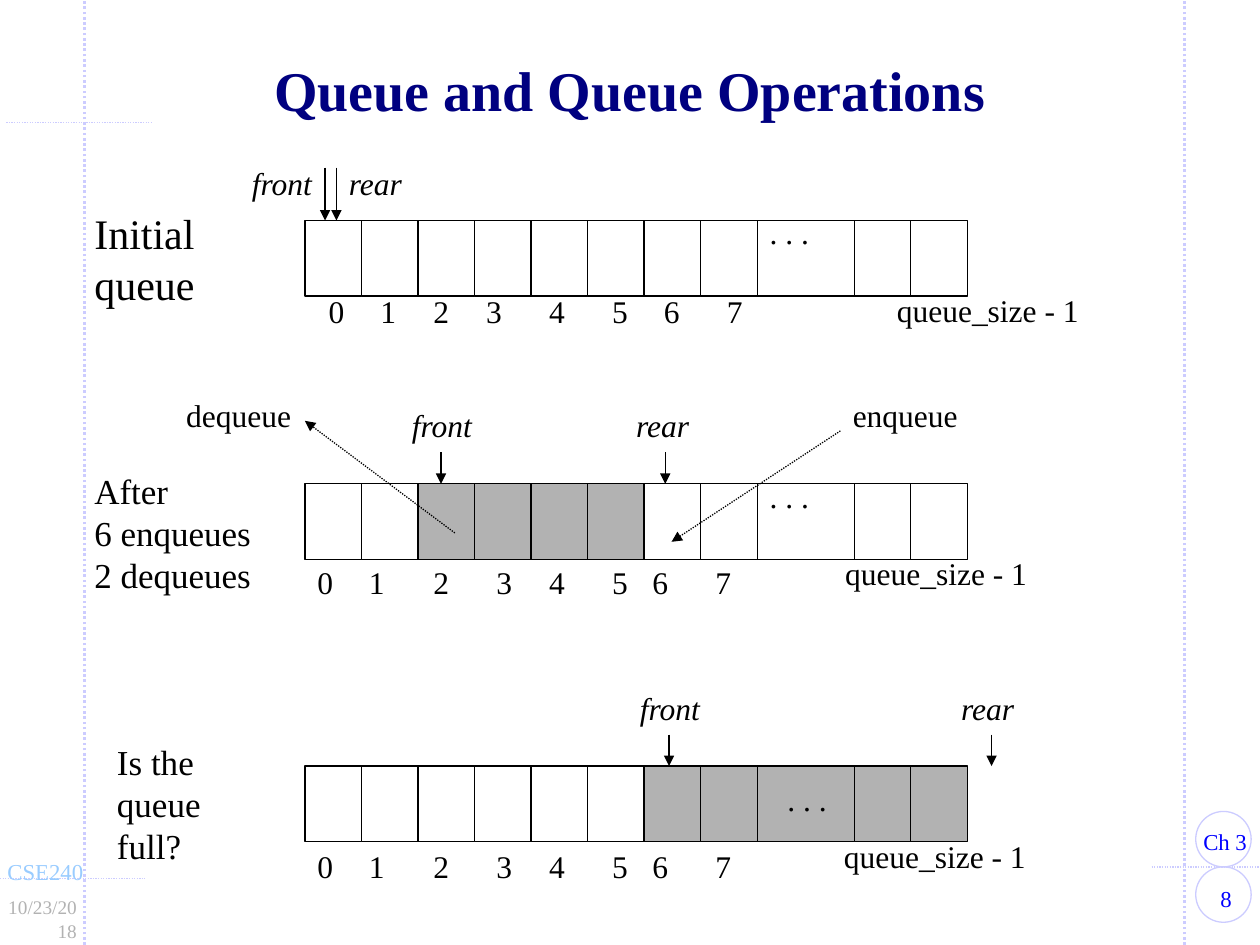
import dataclasses

import pptx
import pptx.dml.color
import pptx.enum.dml
import pptx.enum.shapes
import pptx.enum.text
import pptx.oxml
import pptx.oxml.ns
import pptx.util
from pptx.util import Inches

Align = pptx.enum.text.PP_ALIGN
Shape = pptx.enum.shapes.MSO_SHAPE


@dataclasses.dataclass(frozen=True)
class Theme:
    font: str = "Times New Roman"
    ink: str = "000000"
    title: str = "000080"
    empty: str = "FFFFFF"
    used: str = "B2B2B2"
    guide: str = "CCCCFF"
    badge: str = "0000FF"
    course: str = "99CCFF"
    title_size: int = 32
    heading_size: int = 24
    caption_size: int = 20
    label_size: int = 18
    footer_size: int = 13
    date_size: int = 11
    hairline: float = 0.75
    guide_line: float = 1.5


@dataclasses.dataclass(frozen=True)
class Queue:
    """One queue row; every position is relative to the row's top left corner."""
    used: tuple            # numbers of the grey cells
    index_lefts: tuple
    index_top: float
    size_left: float
    pointers: tuple        # (word, arrow x, word left)
    arrow_top: float
    word_top: float
    dots: tuple
    gap_used: bool = False


THEME = Theme()
CELL_WIDTH, CELL_HEIGHT = 0.45, 0.6
PITCH = 3.14 / 7
TAIL_LEFT = 4.36
GAP_LEFT, GAP_WIDTH = 3.58, 0.83


def rgb(color):
    return pptx.dml.color.RGBColor.from_string(color)


def add_text(slide, box, lines, size, color=THEME.ink, italic=False, bold=False,
             align=Align.LEFT, spacing=None, inset=0.1, grow=True):
    shape = slide.shapes.add_textbox(*map(Inches, box))
    frame = shape.text_frame
    frame.word_wrap = True
    frame.margin_left = frame.margin_right = Inches(inset)
    if grow:
        frame.auto_size = pptx.enum.text.MSO_AUTO_SIZE.SHAPE_TO_FIT_TEXT
    for number, line in enumerate(lines):
        paragraph = frame.add_paragraph() if number else frame.paragraphs[0]
        paragraph.alignment = align
        paragraph.line_spacing = spacing
        run = paragraph.add_run()
        run.text = line
        run.font.name, run.font.size = THEME.font, pptx.util.Pt(size)
        run.font.bold, run.font.italic = bold, italic
        run.font.color.rgb = rgb(color)
    return shape


def add_line(slide, start, end, color=THEME.ink, width=THEME.hairline,
             dotted=False, arrow=False):
    connector = slide.shapes.add_connector(
        pptx.enum.shapes.MSO_CONNECTOR.STRAIGHT, *map(Inches, start + end))
    connector.line.color.rgb = rgb(color)
    connector.line.width = pptx.util.Pt(width)
    if dotted:
        connector.line.dash_style = pptx.enum.dml.MSO_LINE.ROUND_DOT
    if arrow:
        head = pptx.oxml.parse_xml(
            f'<a:tailEnd {pptx.oxml.ns.nsdecls("a")} type="triangle"/>')
        connector.line._get_or_add_ln().append(head)
    effects = pptx.oxml.parse_xml(f'<a:effectLst {pptx.oxml.ns.nsdecls("a")}/>')
    connector._element.spPr.append(effects)


def add_outline(slide, kind, box, line, fill=None):
    shape = slide.shapes.add_shape(kind, *map(Inches, box))
    shape.shadow.inherit = False
    if fill:
        shape.fill.solid()
        shape.fill.fore_color.rgb = rgb(fill)
    else:
        shape.fill.background()
    shape.line.color.rgb = rgb(line)
    shape.line.width = pptx.util.Pt(THEME.hairline)


def add_frame(slide, width, height):
    """Dotted guides, footer texts and the two badges."""
    for x in (0.67, 9.4):
        add_line(slide, (x, height), (x, 0), THEME.guide, THEME.guide_line, dotted=True)
    for left, right, y in ((0, 1.15, 6.97), (9.14, width, 6.88), (0.05, 1.2, 0.97)):
        add_line(slide, (left, y), (right, y), THEME.guide, dotted=True)
    for top in (6.44, 6.88):
        add_outline(slide, Shape.OVAL, (9.49, top, 0.44, 0.44), THEME.guide)
    add_text(slide, (9.44, 6.97, 0.58, 0.32), ["8"], THEME.footer_size, THEME.badge,
             align=Align.CENTER, inset=0.11)
    add_text(slide, (9.44, 6.52, 0.64, 0.32), ["Ch 3"], THEME.footer_size,
             THEME.badge, inset=0.11)
    add_text(slide, (-0.05, 6.76, 0.9, 0.32), ["CSE240"], THEME.footer_size,
             THEME.course, inset=0.11)
    add_text(slide, (-0.11, 7.06, 0.83, 0.29), ["10/23/2018"], THEME.date_size,
             THEME.used, align=Align.RIGHT, inset=0.11)


def add_title(slide, box):
    shape = add_text(slide, box, ["Queue and Queue Operations"], THEME.title_size,
                     THEME.title, bold=True, align=Align.CENTER,
                     spacing=0.85, inset=0.11, grow=False)
    shape.text_frame.vertical_anchor = pptx.enum.text.MSO_ANCHOR.MIDDLE


def add_queue(slide, left, top, queue):
    # Cells: eight numbered ones, a gap, and the last two
    if queue.gap_used:
        add_outline(slide, Shape.RECTANGLE,
                    (left + GAP_LEFT, top, GAP_WIDTH, CELL_HEIGHT), THEME.ink, THEME.used)
    offsets = [PITCH * n for n in range(8)] + [TAIL_LEFT + PITCH * n for n in range(2)]
    for number, offset in enumerate(offsets):
        fill = THEME.used if number in queue.used else THEME.empty
        add_outline(slide, Shape.RECTANGLE,
                    (left + offset, top, CELL_WIDTH, CELL_HEIGHT), THEME.ink, fill)
    if not queue.gap_used:
        for y in (top, top + CELL_HEIGHT):
            add_line(slide, (left + 3.46, y), (left + 4.5, y))
    dots_left, dots_top = queue.dots
    add_text(slide, (left + dots_left, top + dots_top, 0.55, 0.28), [". . ."],
             THEME.label_size, spacing=0.6)

    # Index labels
    for number, offset in enumerate(queue.index_lefts):
        add_text(slide, (left + offset, top + queue.index_top, 0.35, 0.4),
                 [str(number)], THEME.label_size)
    add_text(slide, (left + queue.size_left, top + 0.51, 1.7, 0.4),
             ["queue_size - 1"], THEME.label_size)

    # Front and rear pointers
    for word, x, word_left in queue.pointers:
        add_line(slide, (left + x, top + queue.arrow_top), (left + x, top), arrow=True)
        add_text(slide, (left + word_left, top + queue.word_top, 0.75, 0.4), [word],
                 THEME.label_size, italic=True)


def add_operations(slide, left, top):
    """Words and dotted arrows for taking out of and adding to a queue."""
    for word, x, start, end in (
            ("dequeue", -1.04, (1.19, 0.39), (0, -0.5)),
            ("enqueue", 4.25, (4.25, -0.42), (2.91, 0.46))):
        add_text(slide, (left + x, top - 0.75, 1.1, 0.4), [word], THEME.label_size)
        add_line(slide, (left + start[0], top + start[1]),
                 (left + end[0], top + end[1]), dotted=True, arrow=True)


def main():
    presentation = pptx.Presentation()
    width, height = 10, 7.5
    presentation.slide_width, presentation.slide_height = Inches(width), Inches(height)
    slide = presentation.slides.add_slide(presentation.slide_layouts[6])
    add_frame(slide, width, height)
    add_title(slide, (0.73, 0.44, 8.54, 0.62))

    left = 2.42
    later_indexes = (0, 0.41, 0.92, 1.42, 1.84, 2.34, 2.66, 3.16)
    initial = Queue((), (0.09, 0.5, 0.92, 1.34, 1.84, 2.34, 2.75, 3.25), 0.52, 4.6,
                    (("front", 0.16, -0.52), ("rear", 0.25, 0.25)),
                    -0.42, -0.5, (3.59, 0))
    after = Queue((2, 3, 4, 5), later_indexes, 0.58, 4.19,
                  (("front", 1.08, 0.75), ("rear", 2.86, 2.53)),
                  -0.25, -0.67, (3.59, 0))
    full = Queue((6, 7, 8, 9), later_indexes, 0.59, 4.18,
                 (("front", 2.89, 2.56), ("rear", 5.45, 5.11)),
                 -0.25, -0.66, (3.73, 0.17), gap_used=True)
    for top, queue in ((1.75, initial), (3.84, after), (6.08, full)):
        add_queue(slide, left, top, queue)
    add_operations(slide, left, 3.84)

    # Row captions
    add_text(slide, (0.65, 1.6, 1.15, 0.9), ["Initial", "queue"], THEME.heading_size)
    add_text(slide, (0.65, 3.68, 1.6, 1.1), ["After", "6 enqueues", "2 dequeues"],
             THEME.caption_size)
    add_text(slide, (0.83, 5.83, 1.25, 1.1), ["Is the queue full?"],
             THEME.caption_size)
    presentation.save("out.pptx")


if __name__ == "__main__":
    main()
